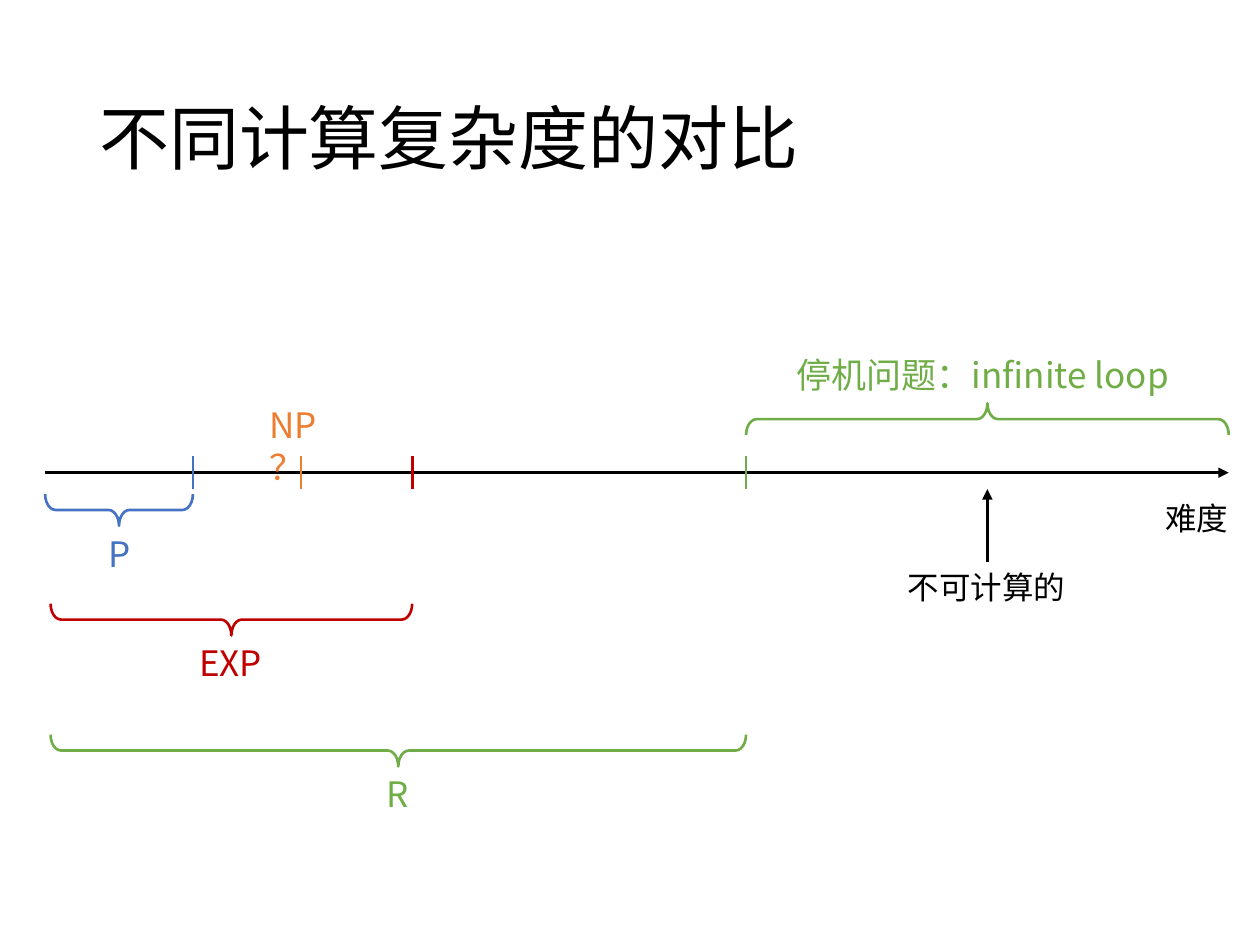
import pptx
import pptx.dml.color
import pptx.enum.shapes
import pptx.enum.text
import pptx.oxml
import pptx.oxml.ns
import pptx.util
from pptx.util import Cm

COLORS = {
    "black": "000000",
    "blue": "4472C4",
    "red": "C00000",
    "green": "70AD47",
    "orange": "ED7D31",
}
BODY_FONT = "Noto Sans CJK SC"
TITLE_FONT = "Times New Roman"
LINE_WIDTH = pptx.util.Pt(1.5)
BRACE_HEIGHT = 0.64
LABEL_HEIGHT = 1.12
TICK_HALF = 0.33


def rgb(color):
    return pptx.dml.color.RGBColor.from_string(COLORS[color])


def add_text(slide, text, box, size, color="black", font=BODY_FONT, wrap=False):
    left, top, width, height = box
    shape = slide.shapes.add_textbox(Cm(left), Cm(top), Cm(width), Cm(height))
    shape.text_frame.word_wrap = wrap
    paragraph = shape.text_frame.paragraphs[0]
    paragraph.text = text
    paragraph.font.size = pptx.util.Pt(size)
    paragraph.font.name = font
    paragraph.font.color.rgb = rgb(color)
    # East Asian glyphs use the body font
    fonts = paragraph.font._element
    east_asian = pptx.oxml.parse_xml(
        f'<a:ea {pptx.oxml.ns.nsdecls("a")} typeface="{BODY_FONT}"/>')
    fonts.find(pptx.oxml.ns.qn("a:latin")).addnext(east_asian)
    return shape


def add_line(slide, start, end, color="black", arrow=False):
    line = slide.shapes.add_connector(
        pptx.enum.shapes.MSO_CONNECTOR.STRAIGHT,
        *(Cm(value) for value in (*start, *end)))
    line.line.color.rgb = rgb(color)
    line.line.width = LINE_WIDTH
    namespace = pptx.oxml.ns.nsdecls("a")
    if arrow:
        line.line._get_or_add_ln().append(
            pptx.oxml.parse_xml(f'<a:tailEnd {namespace} type="triangle"/>'))
    line._element.spPr.append(pptx.oxml.parse_xml(f"<a:effectLst {namespace}/>"))
    return line


def add_title(slide, box):
    shape = add_text(slide, "不同计算复杂度的对比", box, 40, font=TITLE_FONT, wrap=True)
    shape.text_frame.vertical_anchor = pptx.enum.text.MSO_ANCHOR.MIDDLE
    shape.text_frame.paragraphs[0].line_spacing = 0.9


def add_axis(slide, left, right, middle):
    add_line(slide, (left, middle), (right, middle), arrow=True)
    add_text(slide, "难度", (right - 1.53, middle + 0.4, 1.8, 1.02), 18)


def add_tick(slide, center, middle, color):
    add_line(slide, (center, middle - TICK_HALF), (center, middle + TICK_HALF), color)


def add_class_range(slide, text, left, right, top, label_width, color, above=False):
    """Brace over the span left..right, with its label at the tip."""
    span = right - left
    center = (left + right) / 2
    # The brace is drawn upright, then turned around its centre
    brace = slide.shapes.add_shape(
        pptx.enum.shapes.MSO_SHAPE.LEFT_BRACE,
        Cm(center - BRACE_HEIGHT / 2), Cm(top + BRACE_HEIGHT / 2 - span / 2),
        Cm(BRACE_HEIGHT), Cm(span))
    brace.rotation = 90 if above else 270
    brace.adjustments[0] = 0.33
    brace.fill.background()
    brace.line.color.rgb = rgb(color)
    brace.line.width = LINE_WIDTH
    brace.shadow.inherit = False
    label_top = top - LABEL_HEIGHT if above else top + BRACE_HEIGHT
    add_text(slide, text, (center - label_width / 2, label_top, label_width, LABEL_HEIGHT),
             20, color)


def add_uncomputable_note(slide, center, middle):
    width = 3.71
    label = add_text(slide, "不可计算的",
                     (center - width / 2, middle + 1.8, width, 1.02), 18)
    arrow = add_line(slide, (center, middle + 1.8), (center, middle + TICK_HALF), arrow=True)
    arrow.begin_connect(label, 0)


def add_np_label(slide, left, top):
    shape = add_text(slide, "NP？", (left, top, 2.24, LABEL_HEIGHT), 20, "orange", wrap=True)
    # Narrow text area puts the question mark on its own line
    shape.text_frame.margin_right = Cm(0.8)


def main():
    presentation = pptx.Presentation()
    presentation.slide_width = Cm(25.4)
    presentation.slide_height = Cm(19.05)
    slide = presentation.slides.add_slide(presentation.slide_layouts[6])

    add_title(slide, (1.75, 1.02, 21.9, 3.68))

    # Difficulty axis and class borders
    start, end, middle = 0.91, 24.77, 9.53
    p_end, np_end, exp_end, r_end = 3.89, 6.07, 8.31, 15.04
    add_axis(slide, start, end, middle)
    for center, color in ((p_end, "blue"), (np_end, "orange"),
                          (exp_end, "red"), (r_end, "green")):
        add_tick(slide, center, middle, color)

    # Complexity classes
    add_class_range(slide, "P", start, p_end, 9.96, 0.94, "blue")
    add_class_range(slide, "EXP", 1.02, exp_end, 12.17, 1.8, "red")
    add_class_range(slide, "R", 1.02, r_end, 14.81, 0.97, "green")
    add_class_range(slide, "停机问题：infinite loop", r_end, end, 8.13, 8.2, "green",
                    above=True)

    add_uncomputable_note(slide, (r_end + end) / 2, middle)
    add_np_label(slide, 5.18, 8.0)

    presentation.save("out.pptx")


if __name__ == "__main__":
    main()
